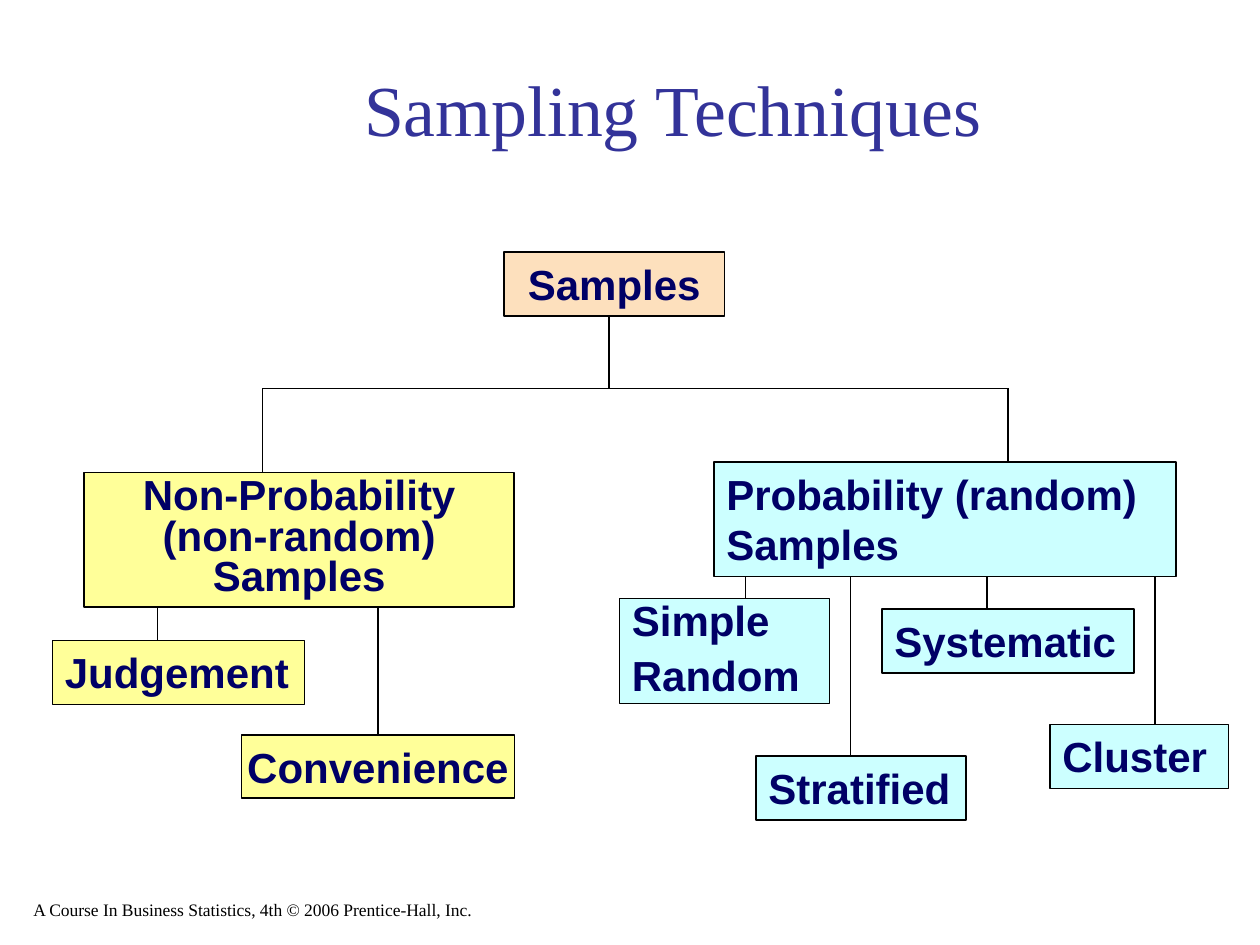
import lxml.etree
import pptx
import pptx.dml.color
import pptx.enum.shapes
import pptx.enum.text
import pptx.util

ALIGN = pptx.enum.text.PP_ALIGN
ANCHOR = pptx.enum.text.MSO_ANCHOR
FIT = pptx.enum.text.MSO_AUTO_SIZE
NAVY, YELLOW, CYAN, PEACH = "000066", "FFFF99", "CCFFFF", "FDE0BD"


def px(length):
    return pptx.util.Emu(length * 7620)


def color(code):
    return pptx.dml.color.RGBColor.from_string(code)


def style(paragraph, face, size, code, bold=False):
    paragraph.font.name = face
    paragraph.font.size = pptx.util.Pt(size)
    paragraph.font.bold = bold
    paragraph.font.color.rgb = color(code)


def draw_caption(slide, box, words, size, code, align):
    caption = slide.shapes.add_textbox(*map(px, box))
    frame = caption.text_frame
    frame.word_wrap = True
    frame.vertical_anchor = ANCHOR.BOTTOM
    frame.text = words
    frame.paragraphs[0].alignment = align
    style(frame.paragraphs[0], "Times New Roman", size, code)


def draw_line(slide, x1, y1, x2, y2):
    line = slide.shapes.add_connector(
        pptx.enum.shapes.MSO_CONNECTOR.STRAIGHT, px(x1), px(y1), px(x2), px(y2))
    line.line.color.rgb = color("000000")
    line.line.width = pptx.util.Pt(1)
    properties = line._element.spPr
    lxml.etree.SubElement(properties, pptx.oxml.ns.qn("a:effectLst"))


def draw_node(slide, box, words, fill, align=ALIGN.LEFT, spacings=(1,), grows=True):
    node = slide.shapes.add_shape(
        pptx.enum.shapes.MSO_SHAPE.RECTANGLE, *map(px, box))
    node.shadow.inherit = False
    node.fill.solid()
    node.fill.fore_color.rgb = color(fill)
    node.line.color.rgb = color("000000")
    node.line.width = pptx.util.Pt(1)
    frame = node.text_frame
    frame.word_wrap = grows
    frame.auto_size = FIT.SHAPE_TO_FIT_TEXT if grows else FIT.NONE
    frame.vertical_anchor = ANCHOR.TOP if grows else ANCHOR.MIDDLE
    frame.text = words
    for index, (paragraph, spacing) in enumerate(zip(frame.paragraphs, spacings)):
        paragraph.alignment = align
        paragraph.line_spacing = spacing
        if index:
            paragraph.space_before = pptx.util.Pt(15)
        style(paragraph, "Arial", 24, NAVY, True)


def draw_root(slide, box, left_drop, right_drop):
    left, top, width, height = box
    stem, bar = left + 100, top + 130
    draw_line(slide, stem, top + height, stem, bar)
    draw_line(slide, left_drop[0], bar, right_drop[0], bar)
    for x, bottom in (left_drop, right_drop):
        draw_line(slide, x, bar, x, bottom)
    draw_node(slide, box, "Samples", PEACH, ALIGN.CENTER)


def draw_branch(slide, box, words, fill, children, **look):
    left, top, width, height = box
    for x, child_box, child_words, child_look in children:
        draw_line(slide, left + x, top + height, left + x, top + child_box[1])
    draw_node(slide, box, words, fill, **look)
    for x, (dx, dy, child_width, child_height), child_words, child_look in children:
        draw_node(slide, (left + dx, top + dy, child_width, child_height),
                  child_words, fill, **child_look)


def main():
    deck = pptx.Presentation()
    deck.slide_width, deck.slide_height = px(1200), px(900)
    slide = deck.slides.add_slide(deck.slide_layouts[6])
    draw_caption(slide, (130, 50, 1022, 100), "Sampling Techniques",
                 41, "333399", ALIGN.CENTER)
    draw_caption(slide, (20, 840, 610, 42),
                 "A Course In Business Statistics, 4th © 2006 Prentice-Hall, Inc.",
                 10, "000000", ALIGN.LEFT)
    draw_root(slide, (480, 240, 210, 61), (250, 450), (960, 440))
    draw_branch(
        slide, (80, 450, 410, 128), "Non-Probability (non-random) Samples", YELLOW,
        [(70, (-30, 160, 240, 61), "Judgement", {}),
         (280, (150, 250, 260, 60), "Convenience",
          {"align": ALIGN.CENTER, "grows": False})],
        align=ALIGN.CENTER, spacings=(0.8,))
    draw_branch(
        slide, (680, 440, 440, 109), "Probability (random) Samples", CYAN,
        [(30, (-90, 130, 200, 100), "Simple\nRandom", {"spacings": (0.8, 0.5)}),
         (130, (40, 280, 200, 61), "Stratified", {}),
         (260, (160, 140, 240, 61), "Systematic", {}),
         (420, (320, 250, 170, 61), "Cluster", {})])
    deck.save("out.pptx")


if __name__ == "__main__":
    main()
